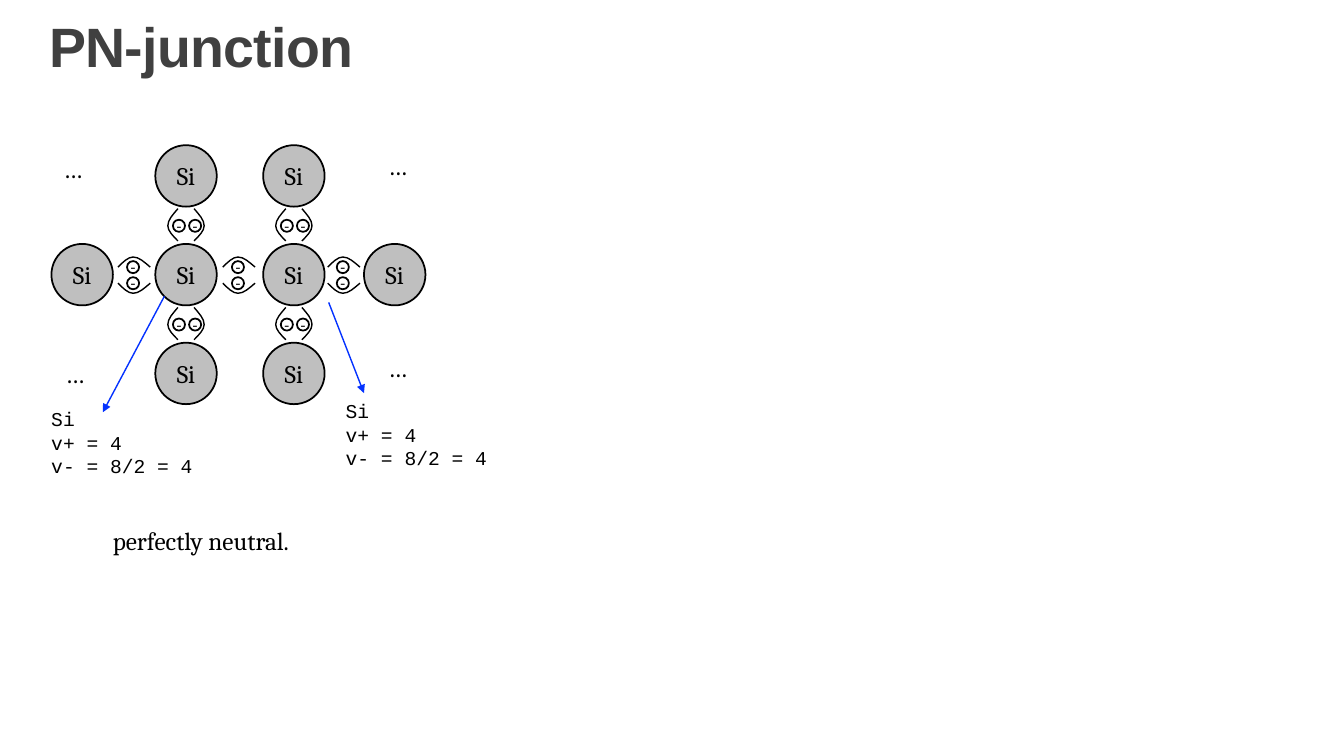
from lxml import etree
from pptx import Presentation
from pptx.dml.color import RGBColor
from pptx.enum.shapes import MSO_CONNECTOR, MSO_SHAPE
from pptx.enum.text import MSO_ANCHOR, PP_ALIGN
from pptx.oxml.ns import qn
from pptx.util import Inches, Pt

STRAIGHT = MSO_CONNECTOR.STRAIGHT
OVAL = MSO_SHAPE.OVAL
MIDDLE, BOTTOM, TOP = MSO_ANCHOR.MIDDLE, MSO_ANCHOR.BOTTOM, MSO_ANCHOR.TOP
CENTER, LEFT = PP_ALIGN.CENTER, PP_ALIGN.LEFT

BLACK = RGBColor(0x00, 0x00, 0x00)
GREY = RGBColor(0xBF, 0xBF, 0xBF)
DARK = RGBColor(0x40, 0x40, 0x40)
BLUE = RGBColor(0x04, 0x32, 0xFF)

TITLE = {"name": "Arial", "size": Pt(39.6), "bold": True}
SERIF = {"name": "Cambria", "size": Pt(18)}
MONO = {"name": "Courier New", "size": Pt(14)}
SIGN = {"name": "Courier New", "size": Pt(10)}

ATOM = 0.61
ELECTRON = 0.12
ROWS = (1.44, 2.42, 3.4)
COLUMNS = (0.51, 1.54, 2.61, 3.61)
ARC = ((0.08, -0.16), (0.13, -0.1), (0.18, -0.05), (0.18, 0.01),
       (0.18, 0.06), (0.13, 0.11), (0.08, 0.16))


def write(tf, lines, fmt, color=BLACK, align=LEFT):
    for i, line in enumerate(lines):
        p = tf.paragraphs[0] if i == 0 else tf.add_paragraph()
        p.alignment = align
        r = p.add_run()
        r.text = line
        for key, value in fmt.items():
            setattr(r.font, key, value)
        r.font.color.rgb = color


def add_text(shapes, box, lines, fmt, color=BLACK, anchor=TOP):
    tf = shapes.add_textbox(*map(Inches, box)).text_frame
    tf.word_wrap = True
    tf.vertical_anchor = anchor
    write(tf, lines, fmt, color)
    return tf


def add_circle(shapes, left, top, size, label, fmt, fill=None):
    sp = shapes.add_shape(OVAL, *map(Inches, (left, top, size, size)))
    sp.shadow.inherit = False
    if fill is None:
        sp.fill.background()
    else:
        sp.fill.solid()
        sp.fill.fore_color.rgb = fill
    sp.line.color.rgb = BLACK
    sp.line.width = Pt(1.25)
    tf = sp.text_frame
    tf.word_wrap = False
    tf.vertical_anchor = MIDDLE
    tf.margin_left = tf.margin_right = tf.margin_top = tf.margin_bottom = 0
    write(tf, [label], fmt, align=CENTER)


def add_arc(shapes, points):
    points = [(Inches(x), Inches(y)) for x, y in points]
    builder = shapes.build_freeform(*points[0])
    builder.add_line_segments(points[1:], close=False)
    sp = builder.convert_to_shape()
    outline = next(sp.element.iter(qn("a:path")))
    segments = outline.findall(qn("a:lnTo"))
    for start in (0, 3):
        curve = etree.SubElement(outline, qn("a:cubicBezTo"))
        for segment in segments[start:start + 3]:
            curve.append(segment[0])
            outline.remove(segment)
    sp.shadow.inherit = False
    sp.fill.background()
    sp.line.color.rgb = BLACK
    sp.line.width = Pt(1)


def add_bond(shapes, cx, cy, vertical):
    for side in (-1, 1):
        arc = [(side * across, along) for across, along in ARC]
        if not vertical:
            arc = [(-along, across) for across, along in arc]
        add_arc(shapes, [(cx + dx, cy + dy) for dx, dy in arc])
    for side in (-1, 1):
        dx, dy = (0.01 + side * 0.08, 0.01) if vertical else (-0.01, side * 0.08)
        add_circle(shapes, cx + dx - ELECTRON / 2, cy + dy - ELECTRON / 2,
                   ELECTRON, "-", SIGN)


def add_arrow(shapes, start, end):
    line = shapes.add_connector(STRAIGHT, *map(Inches, start + end))
    line.line.color.rgb = BLUE
    line.line.width = Pt(1)
    etree.SubElement(line.line._get_or_add_ln(), qn("a:tailEnd"), type="triangle")
    etree.SubElement(line._element.spPr, qn("a:effectLst"))


def add_crystal(shapes):
    for row, top in enumerate(ROWS):
        for left in COLUMNS if row == 1 else COLUMNS[1:3]:
            add_circle(shapes, left, top, ATOM, "Si", SERIF, GREY)
    for left, top in ((3.75, 1.44), (0.53, 1.47), (3.75, 3.45), (0.55, 3.51)):
        add_text(shapes, (left, top, 0.58, 0.38), ["…"], SERIF)
    for cy in (2.23, 3.21):
        for left in COLUMNS[1:3]:
            add_bond(shapes, left + ATOM / 2, cy, True)
    for cx in (1.33, 2.37, 3.41):
        add_bond(shapes, cx, 2.73, False)


def main():
    prs = Presentation()
    prs.slide_width, prs.slide_height = Inches(13.33), Inches(7.5)
    s = prs.slides.add_slide(prs.slide_layouts[6])

    tf = add_text(s.shapes, (0.39, 0.12, 12.57, 0.71), ["PN-junction"],
                  TITLE, DARK, BOTTOM)
    p = tf.paragraphs[0]
    p.line_spacing = 0.85
    p.runs[0].font._element.set("spc", "-50")

    add_crystal(s.shapes.add_group_shape().shapes)

    charges = ["Si", "v+ = 4", "v- = 8/2 = 4"]
    for left, top in ((0.41, 3.99), (3.33, 3.91)):
        add_text(s.shapes, (left, top, 1.95, 0.81), charges, MONO)
    add_arrow(s.shapes, (1.63, 2.94), (1.02, 4.09))
    add_arrow(s.shapes, (3.26, 3), (3.61, 3.9))
    add_text(s.shapes, (1.02, 5.16, 2.55, 0.4), ["perfectly neutral."], SERIF)

    prs.save("out.pptx")


if __name__ == "__main__":
    main()
